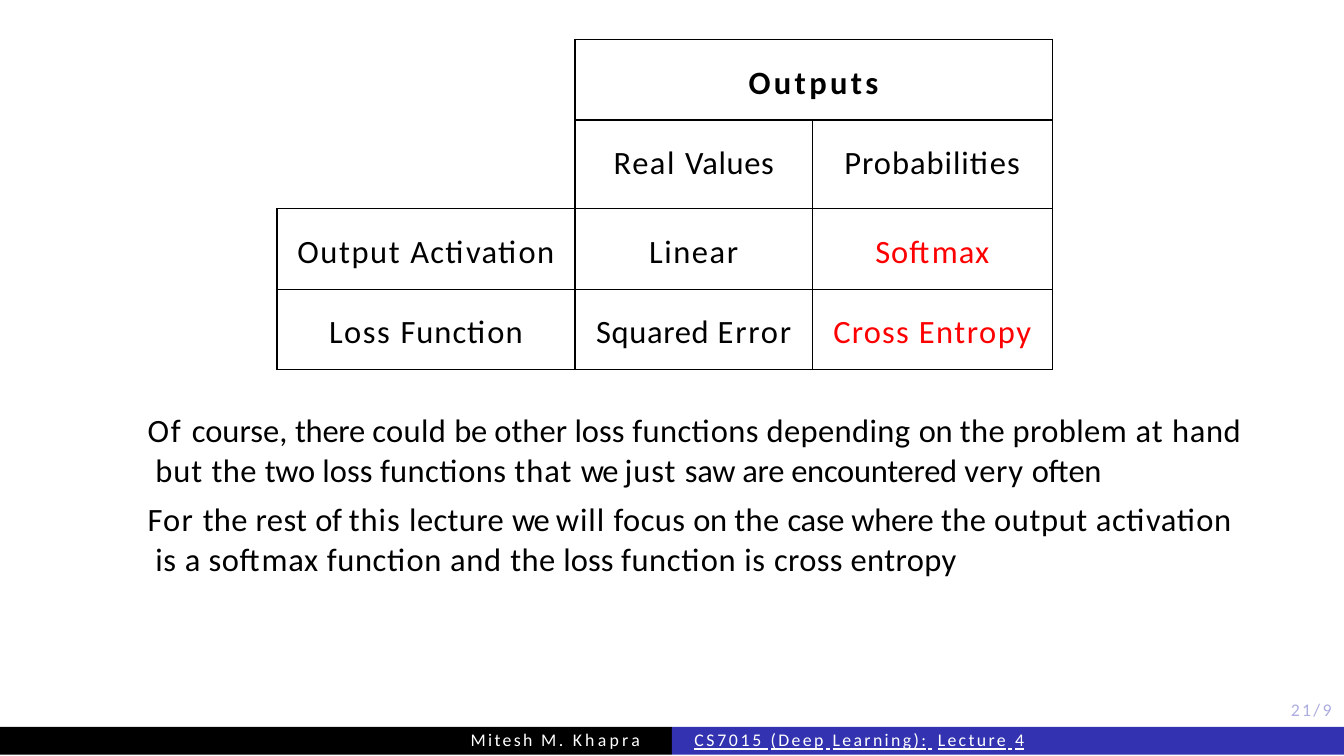
from lxml import etree
from pptx import Presentation
from pptx.dml.color import RGBColor
from pptx.enum.shapes import MSO_SHAPE
from pptx.enum.text import PP_ALIGN
from pptx.oxml.ns import qn
from pptx.util import Inches, Pt

RECTANGLE = MSO_SHAPE.RECTANGLE
LEFT, CENTER = PP_ALIGN.LEFT, PP_ALIGN.CENTER

# The slide is a grid of 63.1 columns by 35.5 rows
COLUMNS, ROWS = 63.1, 35.5
FONT = "Calibri"
BLACK, WHITE, RED = "000000", "FFFFFF", "FF0000"
BLUE, PALE_BLUE = "3333B2", "ADADE0"

# Rows of the table: each cell holds (words, letter spacing) pairs
TABLE_ROWS = [
    [None, [("Outputs", 1.1)], None],
    [None, [("Real ", 0.5), ("Values", 0.2)], [("Probabilities", 0.3)]],
    [[("Output ", 0.5), ("Activation", 0.4)], [("Linear", 0.5)],
     [("Softmax", 0.3)]],
    [[("Loss ", 0.5), ("Function", 0.3)], [("Squared ", 0.2), ("Error", 0.6)],
     [("Cross ", 0.4), ("Entropy", 0.5)]],
]
TABLE_COLUMNS = [14, 11.15, 11.25]
TABLE_ROW_HEIGHT = 3.79

# Paragraphs of remarks, each a list of lines
REMARKS = [
    [[("Of ", 0.6), ("course, ", 0), ("there ", -0.1), ("could ", 0.1),
      ("be ", -0.1), ("other loss ", 0), ("functions depending ", 0.1),
      ("on ", -0.1), ("the problem", 0.1), (" at ", 0.3), ("hand", 0.2)],
     [("but ", 0.3), ("the ", 0.1), ("two ", -0.1), ("loss ", 0),
      ("functions ", 0.1), ("that ", 0.3), ("we ", -0.5), ("just ", 0.3),
      ("saw are encountered ", -0.1), ("very ", 0.2), ("often", -0.1)]],
    [[("For ", 0.4), ("the rest ", 0.1), ("of ", -0.2), ("this ", 0.3),
      ("lecture ", 0.1), ("we ", -0.5), ("will ", 0.3), ("focus ", 0.1),
      ("on ", -0.1), ("the ", 0.1), ("case where ", -0.1), ("the ", 0.1),
      ("output activation", 0.2)],
     [("is ", 0.2), ("a ", 0.1), ("softmax function and ", 0.2),
      ("the ", 0.1), ("loss ", 0), ("function is ", 0.2),
      ("cross entropy", 0.1)]],
]

AUTHOR = [("Mitesh ", 0.8), ("M. ", 0.9), ("Khapra", 1.1)]
COURSE = [("CS7015 ", 0.9), ("(Deep", 0.8), (" ", 1), ("Learning):", 0.8),
          (" ", 1.8), ("Lecture", 0.8), (" ", 1), ("4", 0.6)]
PAGE = [("21/9", 0.8)]


def grid(units):
    return Inches(units / 10)


def rgb(color):
    return RGBColor.from_string(color)


def write(paragraph, words, size, color, bold=False, underline=False):
    """Add runs with their own letter spacing."""
    for text, spacing in words:
        run = paragraph.add_run()
        run.text = text
        font = run.font
        font.name, font.size, font.bold = FONT, Pt(size), bold
        font.underline = underline
        font.color.rgb = rgb(color)
        font._element.set("spc", str(round(spacing * 100)))


def add_text_frame(slide, left, top, width, height):
    frame = slide.shapes.add_textbox(
        grid(left), grid(top), grid(width), grid(height)).text_frame
    frame.margin_left = frame.margin_right = 0
    frame.margin_top = frame.margin_bottom = 0
    frame.word_wrap = True
    return frame


def draw_borders(cell, visible):
    """Set all four borders of a cell, black on the visible sides."""
    properties = cell._tc.get_or_add_tcPr()
    for position, side in enumerate("LRTB"):
        line = etree.Element(qn(f"a:ln{side}"), w=str(Pt(0.5)))
        if side in visible:
            fill = etree.SubElement(line, qn("a:solidFill"))
            etree.SubElement(fill, qn("a:srgbClr"), val=BLACK)
        else:
            etree.SubElement(line, qn("a:noFill"))
        properties.insert(position, line)


def add_loss_table(slide, left, top):
    row_count, column_count = len(TABLE_ROWS), len(TABLE_COLUMNS)
    table = slide.shapes.add_table(
        row_count, column_count, grid(left), grid(top),
        grid(sum(TABLE_COLUMNS)), grid(row_count * TABLE_ROW_HEIGHT)).table
    table.first_row = table.horz_banding = False
    for column, width in zip(table.columns, TABLE_COLUMNS):
        column.width = grid(width)
    for r, row in enumerate(TABLE_ROWS):
        table.rows[r].height = grid(TABLE_ROW_HEIGHT)
        for c, words in enumerate(row):
            cell = table.cell(r, c)
            cell.margin_left = cell.margin_right = cell.margin_bottom = 0
            cell.margin_top = grid(1.1)
            cell.fill.background()
            in_corner = r < 2 and c == 0
            draw_borders(cell, "RB" if in_corner else "LRTB")
            paragraph = cell.text_frame.paragraphs[0]
            paragraph.alignment = CENTER
            color = RED if r >= 2 and c == 2 else BLACK
            write(paragraph, words or [], 11, color, bold=r == 0)
    table.cell(0, 0).merge(table.cell(1, 0))
    table.cell(0, 1).merge(table.cell(0, 2))


def add_remarks(slide, left, top, width, height):
    frame = add_text_frame(slide, left, top, width, height)
    frame.margin_top = grid(0.1)
    for index, lines in enumerate(REMARKS):
        paragraph = frame.add_paragraph() if index else frame.paragraphs[0]
        paragraph.alignment = LEFT
        paragraph.line_spacing = 1.03
        if index:
            paragraph.space_before = Pt(3)
        # Later lines sit slightly to the right of the first
        properties = paragraph._p.get_or_add_pPr()
        properties.set("marL", str(grid(0.5)))
        properties.set("indent", str(grid(-0.37)))
        for number, words in enumerate(lines):
            if number:
                paragraph.add_line_break()
            write(paragraph, words, 11, BLACK)


def add_footer_bar(slide, left, color):
    bar = slide.shapes.add_shape(
        RECTANGLE, grid(left), grid(34.14), grid(COLUMNS / 2), grid(1.3))
    bar.shadow.inherit = False
    bar.fill.solid()
    bar.fill.fore_color.rgb = rgb(color)
    bar.line.fill.background()


def add_footer_text(slide, left, top, width, words, color, underline=False):
    frame = add_text_frame(slide, left, top, width, 1.1)
    frame.word_wrap = False
    paragraph = frame.paragraphs[0]
    paragraph.alignment = LEFT
    paragraph.line_spacing = Pt(6.7)
    write(paragraph, words, 6, color, underline=underline)


def main():
    presentation = Presentation()
    presentation.slide_width = grid(COLUMNS)
    presentation.slide_height = grid(ROWS)
    slide = presentation.slides.add_slide(presentation.slide_layouts[6])

    # Content
    add_loss_table(slide, 13, 1.85)
    add_remarks(slide, 6.8, 19.1, 52.4, 8.2)

    # Footer
    add_footer_bar(slide, 0, BLACK)
    add_footer_bar(slide, COLUMNS / 2, BLUE)
    add_footer_text(slide, 60.6, 32.9, 2.5, PAGE, PALE_BLUE)
    add_footer_text(slide, 22.1, 34.3, 8.4, AUTHOR, WHITE)
    add_footer_text(slide, 32.6, 34.3, 16.1, COURSE, WHITE, underline=True)

    presentation.save("out.pptx")


if __name__ == "__main__":
    main()
